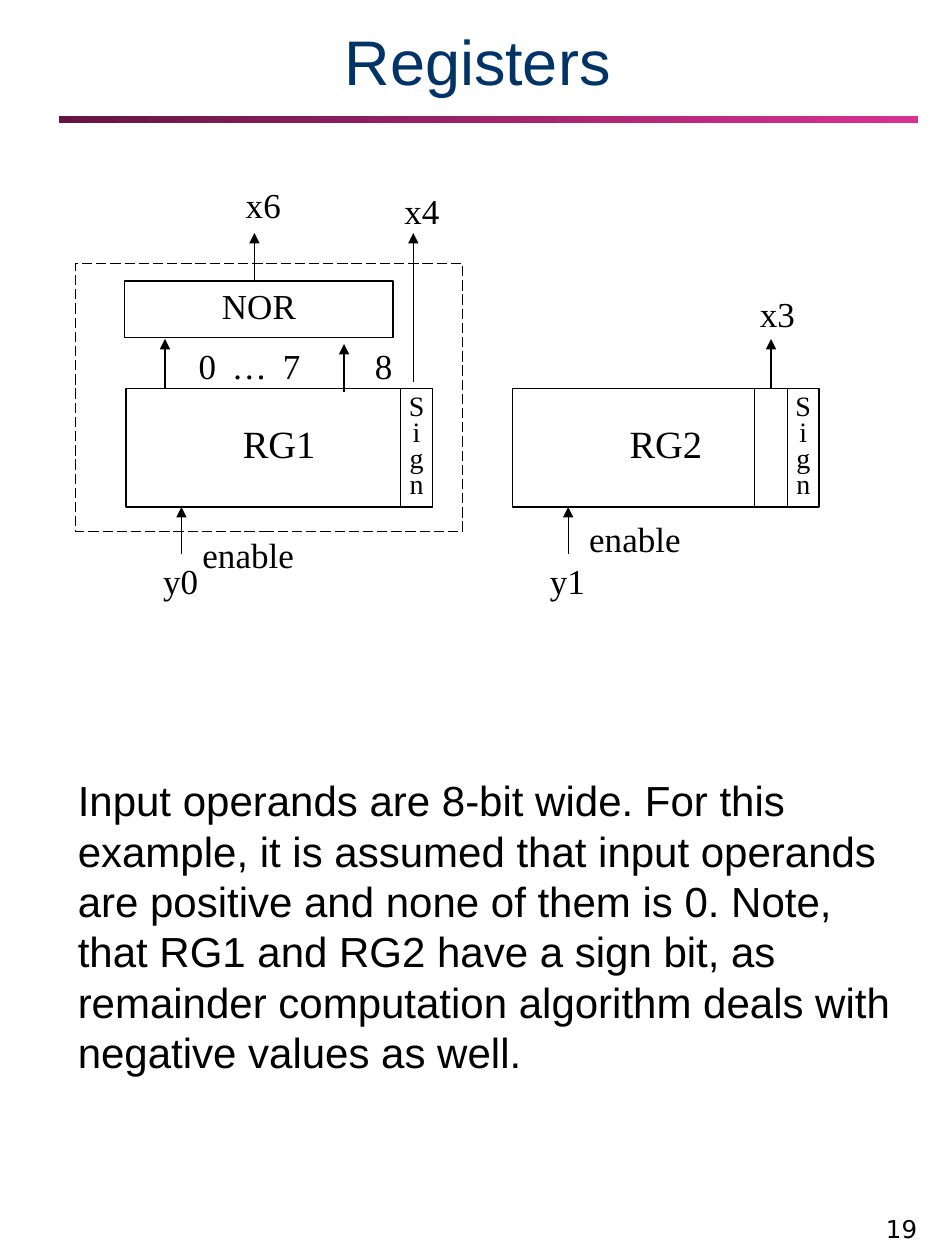
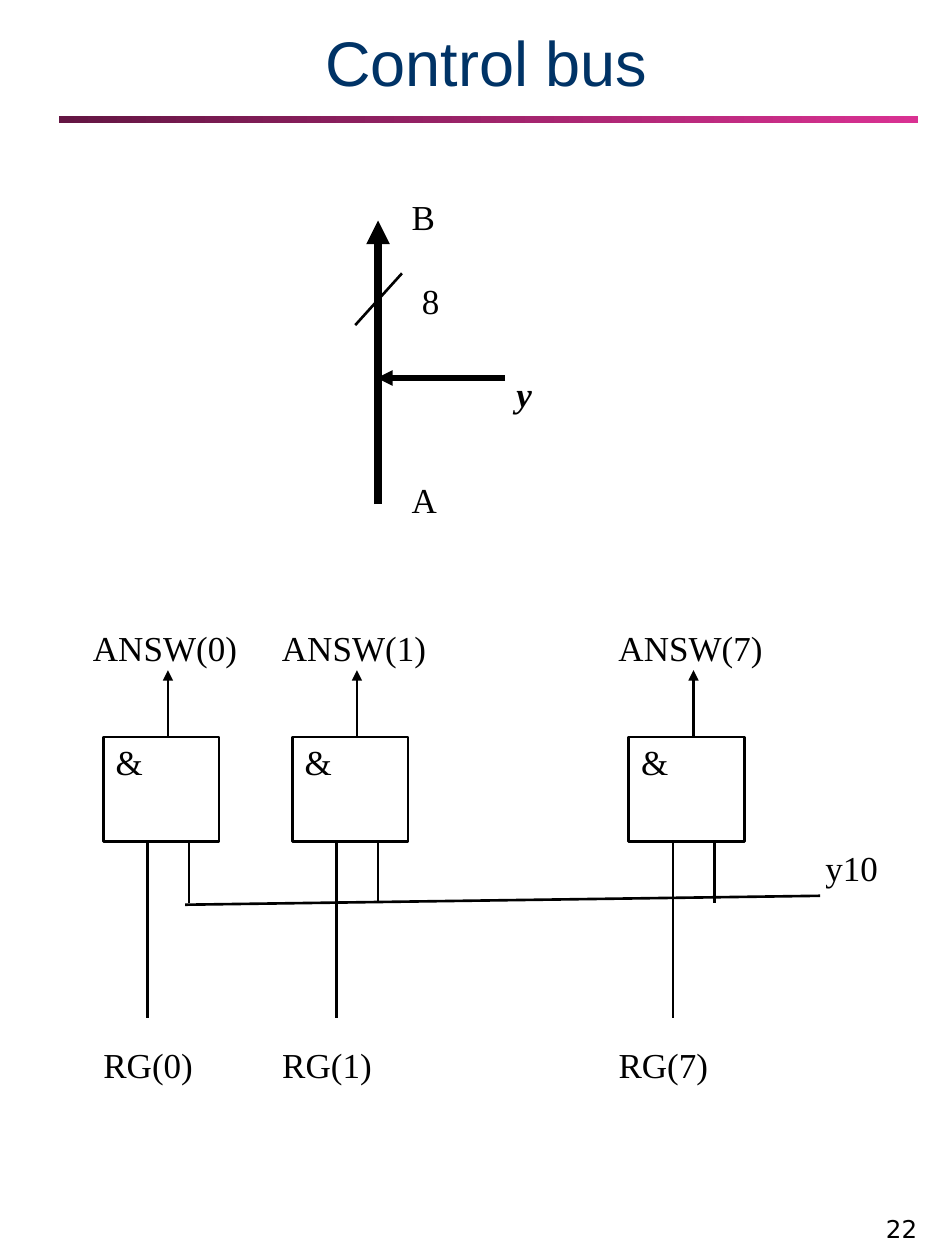
from lxml.etree import SubElement
from pptx import Presentation
from pptx.dml.color import RGBColor
from pptx.enum.dml import MSO_LINE
from pptx.enum.shapes import MSO_CONNECTOR, MSO_SHAPE
from pptx.enum.text import MSO_ANCHOR as ANCHOR, MSO_AUTO_SIZE, PP_ALIGN as ALIGN
from pptx.oxml.ns import qn
from pptx.util import Pt

BLACK, NAVY, PLUM, PINK = "000000", "003366", "641643", "D93192"
SERIF, SANS, NUMBER_FONT = "Times New Roman", "Arial", "DejaVu Sans"
THIN, MEDIUM = 0.74, 1.5
TITLE_ONLY = 5

# Text looks: font, size, alignment, anchor, line spacing and insets (x, y)
PADDED = dict(name=SERIF, size=20, color=BLACK, alignment=ALIGN.LEFT,
              anchor=ANCHOR.TOP, spacing=1.0, insets=(7.2, 3.6))
PADDED_CENTER = dict(PADDED, alignment=ALIGN.CENTER)
TIGHT = dict(PADDED, alignment=ALIGN.CENTER, anchor=ANCHOR.MIDDLE,
             spacing=0.78, insets=(0, 0))
TIGHT_RIGHT = dict(TIGHT, alignment=ALIGN.RIGHT)
REGISTER_NAME = dict(TIGHT, size=22)
SIGN = dict(TIGHT, size=16)
BIT_RANGE = dict(PADDED_CENTER, spacing=0.64)
BODY = dict(PADDED, name=SANS, size=24)
TITLE = dict(PADDED_CENTER, name=SANS, size=36, color=NAVY, anchor=ANCHOR.BOTTOM)
NUMBER = dict(PADDED, name=NUMBER_FONT, size=14, alignment=ALIGN.RIGHT,
              anchor=ANCHOR.BOTTOM)


def rgb(code):
    """Turn a hex string into a colour."""
    return RGBColor.from_string(code)


def assign(target, values):
    """Set each attribute named in a dict."""
    for name, value in values.items():
        setattr(target, name, value)


class Sketch:
    """Holds the deck, its shared style and the current page."""

    def __init__(self):
        """Start an empty portrait deck."""
        self.deck = Presentation()
        assign(self.deck, dict(slide_width=Pt(540), slide_height=Pt(720)))
        self.page = None

    def start_page(self, title, number, top, spacing=1.0):
        """Add a page with its band, number and title."""
        layout = self.deck.slide_layouts[TITLE_ONLY]
        self.page = self.deck.slides.add_slide(layout)
        self.band()
        self.label(number, 465, 683.3, 66.2, 31, NUMBER)
        heading = self.page.shapes.title
        bottom = 60.5
        assign(heading, dict(left=Pt(23.8), top=Pt(top), width=Pt(498.2),
                             height=Pt(bottom - top)))
        self.fill_text(heading.text_frame, title, dict(TITLE, spacing=spacing))

    def band(self):
        """Draw the gradient band under the title."""
        band = self.box(33.8, 66.2, 491, 4.3, None)
        band.fill.gradient()
        band.fill.gradient_angle = 0
        for stop, code in zip(band.fill.gradient_stops, (PLUM, PINK)):
            stop.color.rgb = rgb(code)

    def fill_text(self, frame, text, look):
        """Fill a text frame, one paragraph per line of text."""
        across, down = (Pt(inset) for inset in look["insets"])
        assign(frame, dict(word_wrap=True, auto_size=MSO_AUTO_SIZE.NONE,
                           vertical_anchor=look["anchor"],
                           margin_left=across, margin_right=across,
                           margin_top=down, margin_bottom=down))
        for index, line in enumerate(text.split("\n")):
            para = frame.add_paragraph() if index else frame.paragraphs[0]
            assign(para, dict(alignment=look["alignment"],
                              line_spacing=look["spacing"]))
            span = para.add_run()
            span.text = line
            assign(span.font, dict(name=look["name"], size=Pt(look["size"]),
                                   bold=look.get("bold", False),
                                   italic=look.get("italic", False)))
            span.font.color.rgb = rgb(look["color"])

    def label(self, text, left, top, width, height, look):
        """Add a text box."""
        box = self.page.shapes.add_textbox(Pt(left), Pt(top), Pt(width), Pt(height))
        self.fill_text(box.text_frame, text, look)
        return box

    def box(self, left, top, width, height, weight=THIN, text=None, look=TIGHT):
        """Add an unfilled rectangle; a weight of None leaves out its outline."""
        box = self.page.shapes.add_shape(
            MSO_SHAPE.RECTANGLE, Pt(left), Pt(top), Pt(width), Pt(height))
        box.shadow.inherit = False
        box.fill.background()
        if weight is None:
            box.line.fill.background()
        else:
            box.line.color.rgb = rgb(BLACK)
            box.line.width = Pt(weight)
        if text:
            self.fill_text(box.text_frame, text, look)
        return box

    def line(self, start, end, weight=THIN, arrow=False):
        """Join two points, with an arrowhead at the end if asked."""
        link = self.page.shapes.add_connector(
            MSO_CONNECTOR.STRAIGHT, *(Pt(value) for value in (*start, *end)))
        link.line.color.rgb = rgb(BLACK)
        link.line.width = Pt(weight)
        properties = link.element.find(qn("p:spPr"))
        if arrow:
            SubElement(properties.find(qn("a:ln")), qn("a:tailEnd"), type="triangle")
        SubElement(properties, qn("a:effectLst"))

    def upright(self, x, start, end, weight=THIN, arrow=False):
        """Draw a vertical line."""
        self.line((x, start), (x, end), weight, arrow)

    def register(self, name, signal, left, enable_top):
        """Draw a register with its sign bit and enable input."""
        top, width, height, sign_width = 222, 175, 67.7, 18
        bottom, sign_left = top + height, left + width - sign_width
        self.box(left, top, width, height, text=name, look=REGISTER_NAME)
        self.upright(sign_left, top, bottom)
        self.label("S\ni\ng\nn", sign_left, top, sign_width, height, SIGN)
        self.upright(left + 31.7, 316.8, bottom, arrow=True)
        self.label(signal, left + 18, 322.5, 26.6, 23, TIGHT)
        self.label("enable", left + 31.7, enable_top, 76.3, 25.2, TIGHT)

    def gate(self, bit, left, input_left):
        """Draw the AND gate of one bit with its inputs and output."""
        top, bottom = 421.2, 481
        self.box(left, top, 66.2, bottom - top, MEDIUM)
        self.label("&", left, top - 1.4, 33.1, 31.7, PADDED)
        self.upright(left + 37, top, 383, MEDIUM, arrow=True)
        self.upright(left + 25.2, bottom, 581.8, MEDIUM)
        self.upright(left + 49, bottom, 516.2, MEDIUM)
        self.label(f"ANSW({bit})", left - 15.8, 354.2, 102.2, 31.7, PADDED_CENTER)
        self.label(f"RG({bit})", input_left, 592.6, 71.3, 31.7, PADDED_CENTER)


def draw_registers(sketch):
    """Build the page of the two registers."""
    sketch.start_page("Registers", "19", top=-33.1, spacing=0.93)
    sketch.register("RG2", "y1", 293, 297.4)
    sketch.upright(431, 222, 289.7)
    sketch.upright(440.6, 222, 193.7, arrow=True)
    sketch.register("RG1", "y0", 72, 306.7)
    sketch.box(71.3, 160.6, 153.4, 32.4, text="NOR")
    for name, left, top in (("x3", 427.7, 169.9), ("x4", 224.6, 110.9),
                            ("x6", 133.9, 108)):
        sketch.label(name, left, top, 26.6, 23, TIGHT_RIGHT)
    for x, start, tip, weight in ((236.2, 218.2, 133.2, THIN),
                                  (145.4, 160.6, 133.2, THIN),
                                  (94.3, 222, 193.7, 1), (196.6, 224, 196.6, 1)):
        sketch.upright(x, start, tip, weight, arrow=True)
    bits = sketch.label("0 … 7", 100.1, 200.9, 85, 23, BIT_RANGE)
    for properties in bits.element.iter(qn("a:rPr")):
        properties.set("spc", "200")
    sketch.label("8", 202.3, 200.9, 33.8, 23, BIT_RANGE)
    sketch.box(43.2, 150.5, 221, 153.4).line.dash_style = MSO_LINE.LONG_DASH
    sketch.label("Input operands are 8-bit wide. For this example, it is assumed "
                 "that input operands are positive and none of them is 0. Note, "
                 "that RG1 and RG2 have a sign bit, as remainder computation "
                 "algorithm deals with negative values as well.",
                 37.4, 439.2, 480.2, 180, BODY)


def draw_control_bus(sketch):
    """Build the page of the controlled bus and its gates."""
    sketch.start_page(" Control bus", "22", top=10.1)
    sketch.upright(216, 288, 126, 4.5, arrow=True)
    sketch.line((229.7, 156.2), (203, 185.8), MEDIUM)
    sketch.line((288.7, 216), (215.3, 216), 3, arrow=True)
    for text, left, top, width in (("8", 234, 156.2, 23.8), ("A", 228.2, 270, 29.5),
                                   ("B", 228.2, 108, 41.8)):
        sketch.label(text, left, top, width, 31.7, PADDED)
    sketch.label("y", 288, 209.5, 41.8, 31.7, dict(PADDED, bold=True, italic=True))
    for bit, left, input_left in ((0, 59, 49), (1, 167, 151.2), (7, 359.3, 343.4)):
        sketch.gate(bit, left, input_left)
    sketch.line((105.8, 517), (468.7, 511.9), MEDIUM)
    sketch.label("y10", 457.2, 480.2, 59, 31.7, PADDED_CENTER)


sketch = Sketch()
draw_registers(sketch)
draw_control_bus(sketch)
sketch.deck.save("out.pptx")
